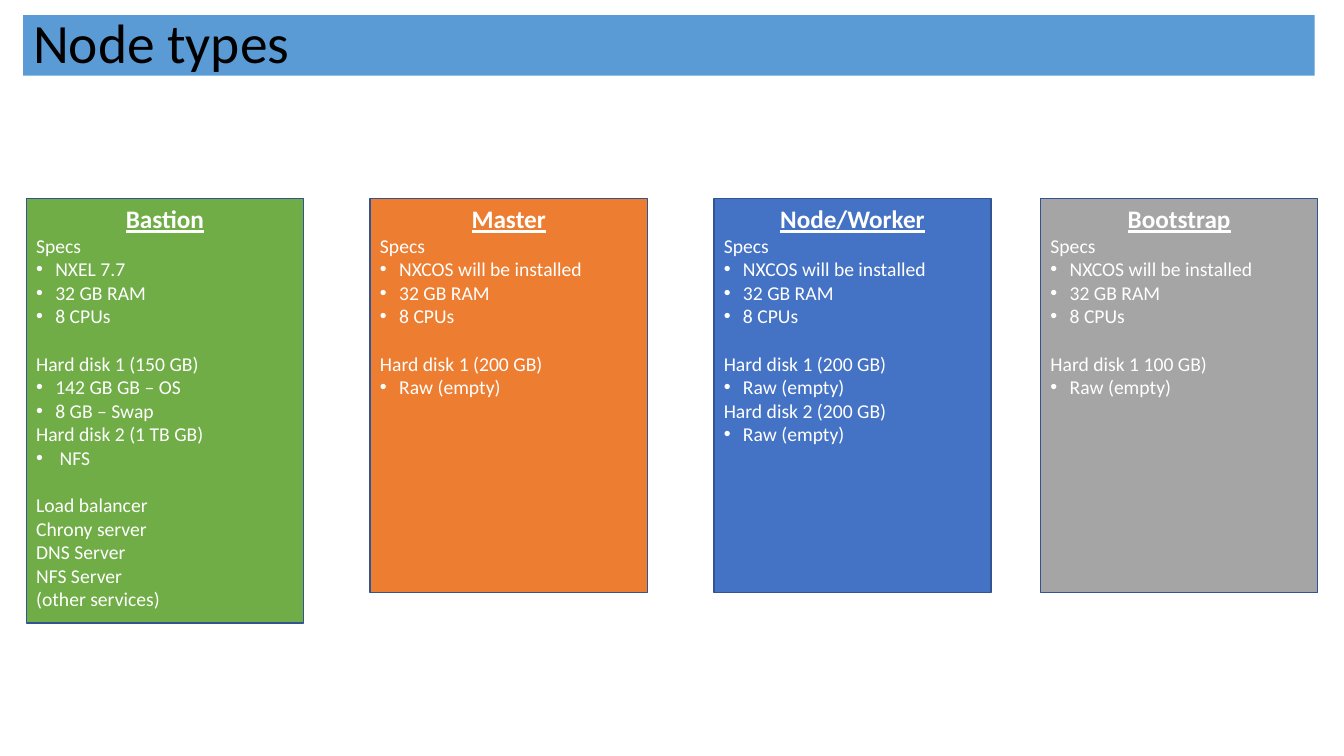
import pptx
import pptx.dml.color
import pptx.enum.shapes
import pptx.enum.text
import pptx.oxml.ns
import pptx.util
from dataclasses import dataclass
from lxml import etree

Inches = pptx.util.Inches
Pt = pptx.util.Pt
ALIGN = pptx.enum.text.PP_ALIGN


@dataclass
class Theme:
    font: str = "Calibri"
    bar: str = "5B9BD5"
    ink: str = "000000"
    text: str = "FFFFFF"
    edge: str = "325491"
    title: float = 39.6
    head: float = 18
    body: float = 14
    gap: float = 17


theme = Theme()

TITLE = "Node types"
BASE = ["32 GB RAM", "8 CPUs"]
SPECS = [("Specs", ["NXCOS will be installed"] + BASE)]
RAW = ["Raw (empty)"]
SERVICES = ["Load balancer", "Chrony server", "DNS Server", "NFS Server", "(other services)"]

NODES = [
    ("Bastion", "70AD47", 0.26, 4.21, [
        [("Specs", ["NXEL 7.7"] + BASE)],
        [("Hard disk 1 (150 GB)", ["142 GB GB – OS", "8 GB – Swap"]),
         ("Hard disk 2 (1 TB GB)", [" NFS"])],
        [(name, []) for name in SERVICES],
    ]),
    ("Master", "ED7D31", 3.67, 3.91, [SPECS, [("Hard disk 1 (200 GB)", RAW)]]),
    ("Node/Worker", "4472C4", 7.08, 3.91, [
        SPECS,
        [("Hard disk 1 (200 GB)", RAW), ("Hard disk 2 (200 GB)", RAW)],
    ]),
    ("Bootstrap", "A5A5A5", 10.32, 3.91, [SPECS, [("Hard disk 1 100 GB)", RAW)]]),
]
TOP, WIDTH, INDENT = 1.97, 2.75, 0.19


def color(code):
    return pptx.dml.color.RGBColor.from_string(code)


def add_box(slide, left, top, width, height, fill, anchor):
    box = slide.shapes.add_shape(
        pptx.enum.shapes.MSO_SHAPE.RECTANGLE,
        Inches(left), Inches(top), Inches(width), Inches(height))
    box.shadow.inherit = False
    box.fill.solid()
    box.fill.fore_color.rgb = color(fill)
    box.text_frame.word_wrap = True
    box.text_frame.vertical_anchor = anchor
    return box


def style(para, text, size, ink, align=ALIGN.LEFT, strong=False):
    para.text = text
    para.alignment = align
    font = para.runs[0].font
    font.name = theme.font
    font.size = Pt(size)
    font.color.rgb = color(ink)
    font.bold = font.underline = strong


def add_line(frame, text):
    para = frame.add_paragraph()
    style(para, text, theme.body, theme.text)
    return para


def add_bullet(frame, text):
    props = add_line(frame, text)._p.get_or_add_pPr()
    props.set("marL", str(Inches(INDENT)))
    props.set("indent", str(-Inches(INDENT)))
    qn = pptx.oxml.ns.qn
    etree.SubElement(props, qn("a:buFont"), typeface="Arial")
    etree.SubElement(props, qn("a:buChar"), char="•")


def add_node(slide, name, fill, left, height, groups):
    box = add_box(slide, left, TOP, WIDTH, height, fill, pptx.enum.text.MSO_ANCHOR.TOP)
    box.line.color.rgb = color(theme.edge)
    box.line.width = Pt(1)
    frame = box.text_frame
    style(frame.paragraphs[0], name, theme.head, theme.text, ALIGN.CENTER, True)
    for order, group in enumerate(groups):
        for place, (label, items) in enumerate(group):
            para = add_line(frame, label)
            if order and not place:
                para.space_before = Pt(theme.gap)
            for item in items:
                add_bullet(frame, item)


deck = pptx.Presentation()
deck.slide_width, deck.slide_height = Inches(13.33), Inches(7.5)
slide = deck.slides.add_slide(deck.slide_layouts[6])

bar = add_box(slide, 0.23, 0.15, 12.81, 0.6, theme.bar, pptx.enum.text.MSO_ANCHOR.MIDDLE)
bar.line.fill.background()
head = bar.text_frame.paragraphs[0]
style(head, TITLE, theme.title, theme.ink)
head.line_spacing = 0.9

for node in NODES:
    add_node(slide, *node)

deck.save("out.pptx")
